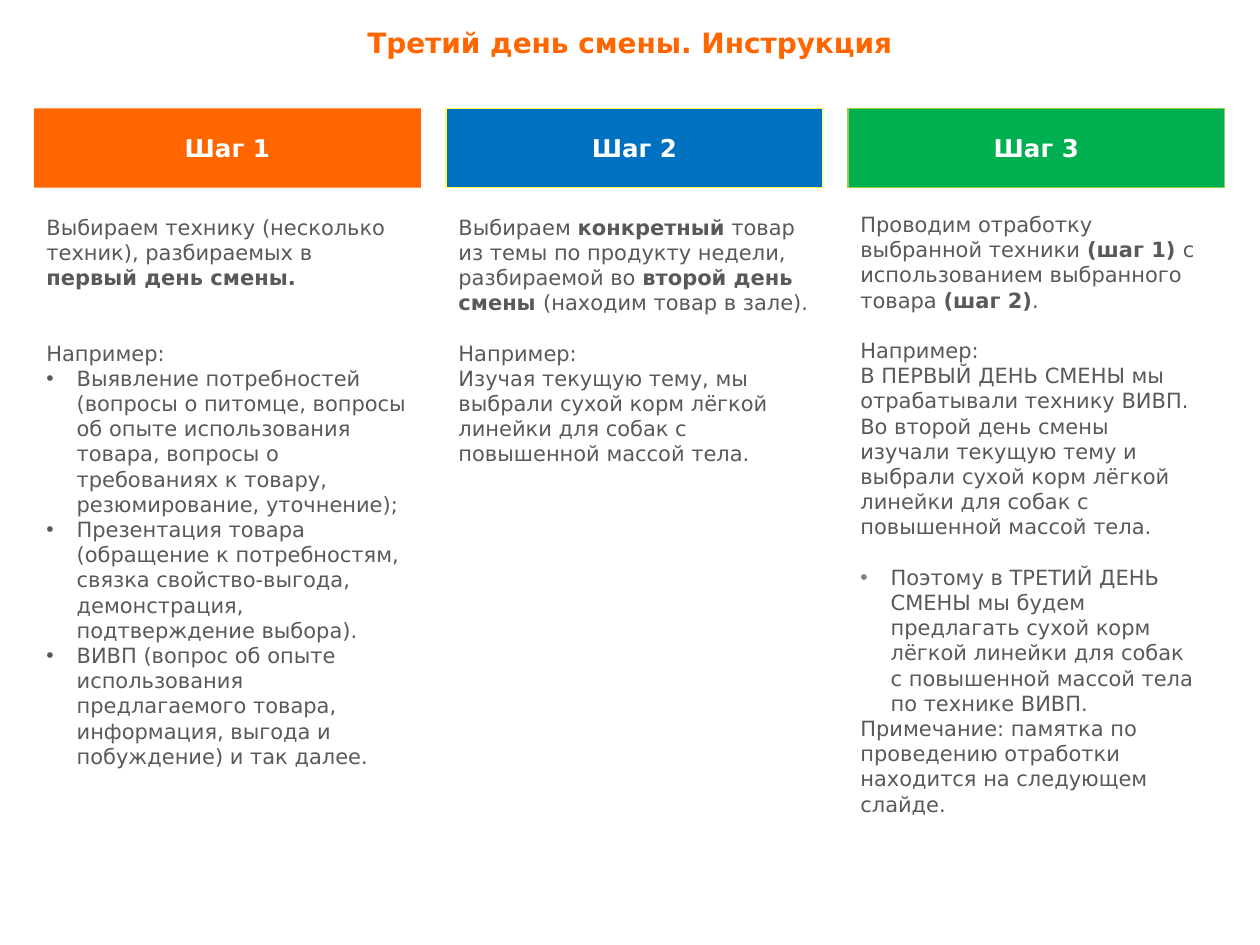
from dataclasses import dataclass

import pptx
import pptx.dml.color
import pptx.enum.shapes
import pptx.enum.text
import pptx.oxml.ns
import pptx.util
from lxml import etree

FONT = "DejaVu Sans"
GREY = "595959"
LEFT, GAP = 0.27, 0.2
HEAD_TOP, HEAD_HEIGHT = 0.86, 0.63
LINE_PT = 14.4
BULLET_INDENT = 0.24


@dataclass
class Para:
    text: str  # parts between ** marks are bold
    lines_before: int = 0
    bullet: str = ""  # colour of the bullet, if there is one


@dataclass
class Step:
    title: str
    fill: str
    line: str
    width: float
    body_top: float
    body_width: float
    body_height: float
    paras: list[Para]


FOOD = "сухой корм лёгкой линейки для собак с повышенной массой тела"

STEPS = [
    Step("Шаг 1", "FF6600", "", 3.07, 1.65, 3.07, 4.96, [
        Para("Выбираем технику (несколько техник), разбираемых в **первый день смены.**"),
        Para("Например:", lines_before=2),
        Para("Выявление потребностей (вопросы о питомце, вопросы об опыте использования "
             "товара, вопросы о требованиях к товару, резюмирование, уточнение);", bullet=GREY),
        Para("Презентация товара (обращение к потребностям, связка свойство-выгода, "
             "демонстрация, подтверждение выбора).", bullet=GREY),
        Para("ВИВП (вопрос об опыте использования предлагаемого товара, информация, "
             "выгода и побуждение) и так далее.", bullet=GREY),
    ]),
    Step("Шаг 2", "0070C0", "FFFF47", 2.99, 1.65, 2.99, 2.99, [
        Para("Выбираем **конкретный** товар из темы по продукту недели, разбираемой во "
             "**второй день смены **(находим товар в зале)."),
        Para("Например:", lines_before=1),
        Para(f"Изучая текущую тему, мы выбрали {FOOD}."),
    ]),
    Step("Шаг 3", "00B050", "92D050", 2.99, 1.63, 2.91, 4.96, [
        Para("Проводим отработку выбранной техники **(шаг 1) **с использованием "
             "выбранного товара **(шаг 2)**."),
        Para("Например:", lines_before=1),
        Para("В ПЕРВЫЙ ДЕНЬ СМЕНЫ мы отрабатывали технику ВИВП. Во второй день смены "
             f"изучали текущую тему и выбрали {FOOD}."),
        Para(f"Поэтому в ТРЕТИЙ ДЕНЬ СМЕНЫ мы будем предлагать {FOOD} по технике ВИВП.",
             lines_before=1, bullet="808080"),
        Para("Примечание: памятка по проведению отработки находится на следующем слайде."),
    ]),
]


def rgb(value: str) -> pptx.dml.color.RGBColor:
    return pptx.dml.color.RGBColor.from_string(value)


def inches(*values: float) -> list[int]:
    return [pptx.util.Inches(v) for v in values]


def set_font(p, size: float, color: str) -> None:
    p.font.name = FONT
    p.font.size = pptx.util.Pt(size)
    p.font.color.rgb = rgb(color)


def add_bullet(p, color: str) -> None:
    """Give the paragraph a coloured dot and a hanging indent."""
    p_pr = p._p.get_or_add_pPr()
    indent = pptx.util.Inches(BULLET_INDENT)
    p_pr.set("marL", str(indent))
    p_pr.set("indent", str(-indent))
    qn = pptx.oxml.ns.qn
    bu_clr = etree.SubElement(p_pr, qn("a:buClr"))
    etree.SubElement(bu_clr, qn("a:srgbClr"), val=color)
    etree.SubElement(p_pr, qn("a:buFont"), typeface="Arial")
    etree.SubElement(p_pr, qn("a:buChar"), char="•")


def add_heading(tf, text: str, size: float, color: str) -> None:
    p = tf.paragraphs[0]
    p.text = text
    p.alignment = pptx.enum.text.PP_ALIGN.CENTER
    set_font(p, size, color)
    p.font.bold = True


def add_text_box(slide, left: float, top: float, width: float, height: float):
    tf = slide.shapes.add_textbox(*inches(left, top, width, height)).text_frame
    tf.word_wrap = True
    return tf


def add_header(slide, step: Step, left: float) -> None:
    sp = slide.shapes.add_shape(pptx.enum.shapes.MSO_SHAPE.RECTANGLE,
                                *inches(left, HEAD_TOP, step.width, HEAD_HEIGHT))
    sp.shadow.inherit = False
    sp.fill.solid()
    sp.fill.fore_color.rgb = rgb(step.fill)
    if step.line:
        sp.line.color.rgb = rgb(step.line)
        sp.line.width = pptx.util.Pt(0.75)
    else:
        sp.line.fill.background()
    sp.text_frame.vertical_anchor = pptx.enum.text.MSO_ANCHOR.MIDDLE
    add_heading(sp.text_frame, step.title, 14, "FFFFFF")


def add_body(slide, step: Step, left: float) -> None:
    tf = add_text_box(slide, left, step.body_top, step.body_width, step.body_height)
    for i, para in enumerate(step.paras):
        p = tf.add_paragraph() if i else tf.paragraphs[0]
        if para.lines_before:
            p.space_before = pptx.util.Pt(para.lines_before * LINE_PT)
        if para.bullet:
            add_bullet(p, para.bullet)
        set_font(p, 12, GREY)
        for j, part in enumerate(para.text.split("**")):
            if part:
                r = p.add_run()
                r.text = part
                if j % 2:
                    r.font.bold = True


def main() -> None:
    prs = pptx.Presentation()
    prs.slide_width, prs.slide_height = inches(10, 7.5)
    slide = prs.slides.add_slide(prs.slide_layouts[6])

    title = add_text_box(slide, 0, 0.15, 10, 0.37)
    title.auto_size = pptx.enum.text.MSO_AUTO_SIZE.SHAPE_TO_FIT_TEXT
    add_heading(title, "Третий день смены. Инструкция", 16, "FF6600")

    left = LEFT
    for step in STEPS:
        add_header(slide, step, left)
        add_body(slide, step, left)
        left += step.width + GAP
    prs.save("out.pptx")


if __name__ == "__main__":
    main()
